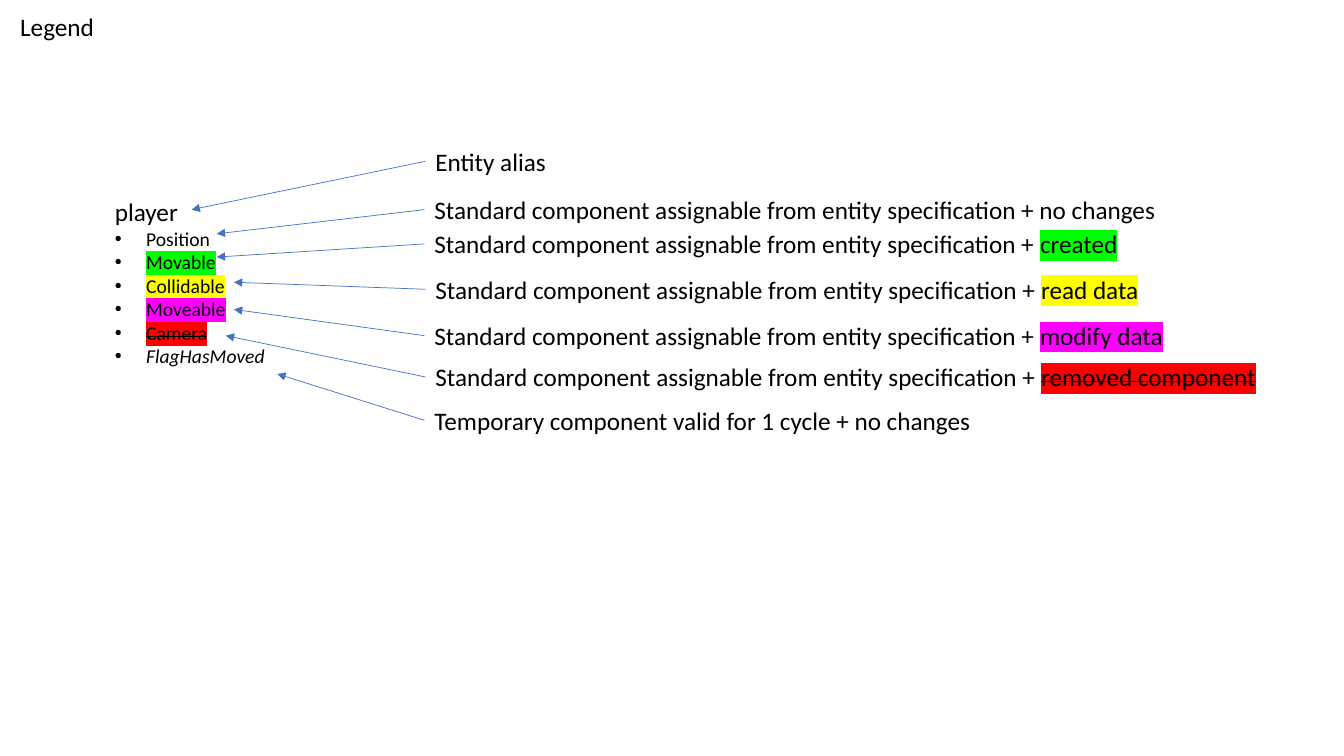
from dataclasses import dataclass
from typing import Any, Optional

import lxml.etree
import pptx
import pptx.dml.color
import pptx.enum.shapes
import pptx.enum.text
import pptx.oxml.ns
import pptx.util

Inches = pptx.util.Inches
qn = pptx.oxml.ns.qn
Fit = pptx.enum.text.MSO_AUTO_SIZE


@dataclass(frozen=True)
class Theme:
    font: str = "Calibri"
    text: str = "000000"
    arrow: str = "4472C4"
    made: str = "00FF00"
    read: str = "FFFF00"
    edit: str = "FF00FF"
    gone: str = "FF0000"
    large: int = 18
    small: int = 14
    line: float = 0.5


THEME = Theme()


@dataclass(frozen=True)
class Piece:
    text: str
    mark: Optional[str] = None
    struck: bool = False
    slant: bool = False


@dataclass(frozen=True)
class Label:
    """A legend line and the point its arrow leads to."""
    left: float
    top: float
    width: float
    tip: tuple[float, float]
    words: tuple[Piece, ...]


BASE = Piece("Standard component assignable from entity specification + ")

LABELS = (
    Label(4.22, 1.4, 1.31, (1.9, 2.08), (Piece("Entity alias"),)),
    Label(4.21, 1.88, 7.44, (2.15, 2.32), (BASE, Piece("no changes"))),
    Label(4.21, 2.22, 7.16, (2.15, 2.55), (BASE, Piece("created", THEME.made))),
    Label(4.22, 2.67, 7.26, (2.32, 2.8), (BASE, Piece("read data", THEME.read))),
    Label(4.21, 3.13, 7.51, (2.32, 3.07), (BASE, Piece("modify data", THEME.edit))),
    Label(4.22, 3.54, 8.68, (2.24, 3.33),
          (BASE, Piece("removed component", THEME.gone, struck=True))),
    Label(4.21, 3.97, 5.58, (2.75, 3.71),
          (Piece("Temporary component valid for 1 cycle + no changes"),)),
)

TRAITS = (
    Piece("Position"),
    Piece("Movable", THEME.made),
    Piece("Collidable", THEME.read),
    Piece("Moveable", THEME.edit),
    Piece("Camera", THEME.gone, struck=True),
    Piece("FlagHasMoved", slant=True),
)


def color(code: str) -> pptx.dml.color.RGBColor:
    return pptx.dml.color.RGBColor.from_string(code)


def write(para: Any, piece: Piece, size: int) -> None:
    run = para.add_run()
    run.text = piece.text
    font = run.font
    font.size = pptx.util.Pt(size)
    font.bold = False
    font.italic = piece.slant
    font.color.rgb = color(THEME.text)
    props = run._r.get_or_add_rPr()
    if piece.struck:
        props.set("strike", "sngStrike")
    if piece.mark:
        mark = lxml.etree.SubElement(props, qn("a:highlight"))
        lxml.etree.SubElement(mark, qn("a:srgbClr"), val=piece.mark)
    font.name = THEME.font


def bullet(para: Any) -> None:
    props = para._p.get_or_add_pPr()
    inset = Inches(0.31)
    props.set("marL", str(inset))
    props.set("indent", str(-inset))
    lxml.etree.SubElement(props, qn("a:buFont"), typeface="Arial")
    lxml.etree.SubElement(props, qn("a:buChar"), char="•")


def add_box(slide: Any, left: float, top: float, width: float,
            height: float, fit: Fit = Fit.SHAPE_TO_FIT_TEXT) -> Any:
    box = slide.shapes.add_textbox(
        Inches(left), Inches(top), Inches(width), Inches(height))
    box.text_frame.word_wrap = False
    box.text_frame.auto_size = fit
    return box


def add_title(slide: Any) -> None:
    title = slide.shapes.title
    title.left, title.top = Inches(0.1), Inches(0.06)
    title.width, title.height = Inches(0.94), Inches(0.4)
    frame = title.text_frame
    frame.word_wrap = False
    frame.auto_size = Fit.SHAPE_TO_FIT_TEXT
    frame.vertical_anchor = pptx.enum.text.MSO_ANCHOR.TOP
    para = frame.paragraphs[0]
    para.alignment = pptx.enum.text.PP_ALIGN.LEFT
    write(para, Piece("Legend"), THEME.large)


def add_player(slide: Any) -> None:
    frame = add_box(slide, 1.04, 1.9, 1.71, 2.36, Fit.NONE).text_frame
    write(frame.paragraphs[0], Piece("player"), THEME.large)
    for trait in TRAITS:
        para = frame.add_paragraph()
        bullet(para)
        write(para, trait, THEME.small)


def add_arrow(slide: Any, box: Any, tip: tuple[float, float]) -> None:
    """Lead from the left side of the box to the tip."""
    end_x, end_y = (Inches(value) for value in tip)
    arrow = slide.shapes.add_connector(
        pptx.enum.shapes.MSO_CONNECTOR.STRAIGHT,
        box.left, box.top + box.height // 2, end_x, end_y)
    arrow.begin_connect(box, 1)
    arrow.line.color.rgb = color(THEME.arrow)
    arrow.line.width = pptx.util.Pt(THEME.line)
    props = arrow._element.spPr
    lxml.etree.SubElement(props.find(qn("a:ln")), qn("a:tailEnd"), type="triangle")
    lxml.etree.SubElement(props, qn("a:effectLst"))


def add_label(slide: Any, label: Label) -> None:
    box = add_box(slide, label.left, label.top, label.width, 0.4)
    for piece in label.words:
        write(box.text_frame.paragraphs[0], piece, THEME.large)
    add_arrow(slide, box, label.tip)


def main() -> None:
    deck = pptx.Presentation()
    deck.slide_width, deck.slide_height = Inches(13.33), Inches(7.5)
    slide = deck.slides.add_slide(deck.slide_layouts.get_by_name("Title Only"))
    add_title(slide)
    add_player(slide)
    for label in LABELS:
        add_label(slide, label)
    deck.save("out.pptx")


if __name__ == "__main__":
    main()
